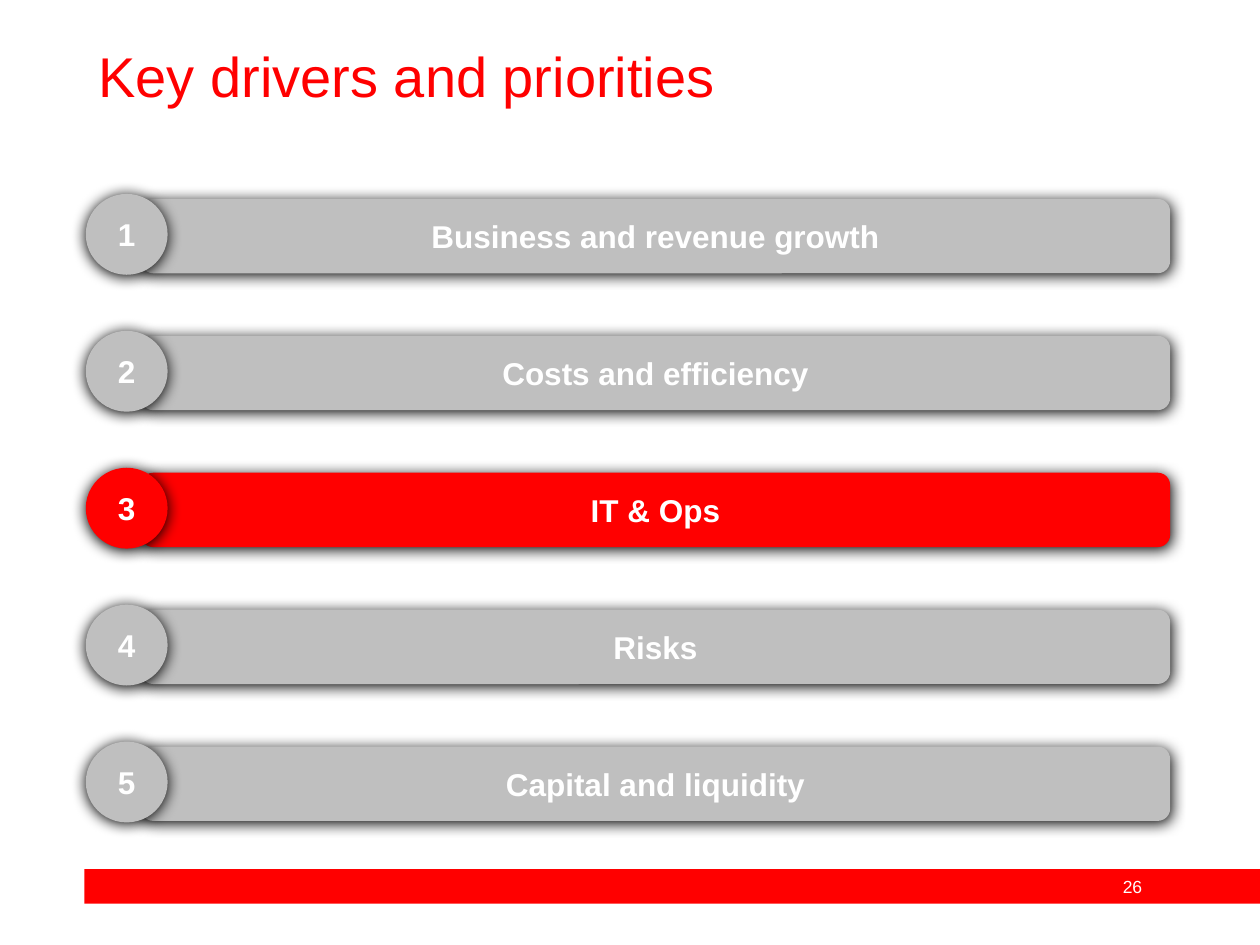
import pptx
import pptx.util
import pptx.dml.color
import pptx.enum.shapes
import pptx.enum.text
from lxml import etree
from pptx.util import Cm, Pt

RED, GREY, WHITE = "FF0000", "BFBFBF", "FFFFFF"
TITLE = "Key drivers and priorities"
DRIVERS = [
    "Business and revenue growth",
    "Costs and efficiency",
    "IT & Ops",
    "Risks",
    "Capital and liquidity",
]
ACTIVE = 3
PAGE = "26"

TOP, STEP = 3.91, 2.76
DISC_LEFT, DISC_W, DISC_H = 1.73, 1.65, 1.63
BAR_LEFT, BAR_W, BAR_H = 2.84, 20.75, 1.5

KIND = pptx.enum.shapes.MSO_SHAPE
ALIGN = pptx.enum.text.PP_ALIGN
MIDDLE = pptx.enum.text.MSO_ANCHOR.MIDDLE
SHADOW = (
    '<a:effectLst xmlns:a="http://schemas.openxmlformats.org/drawingml/2006/main">'
    '<a:outerShdw blurRad="107950" dist="12700" dir="5400000" algn="t" rotWithShape="0">'
    '<a:srgbClr val="000000"/></a:outerShdw></a:effectLst>'
)


def rgb(code):
    return pptx.dml.color.RGBColor.from_string(code)


def write(shape, text, size, color, align, bold=False):
    frame = shape.text_frame
    frame.text = text
    frame.word_wrap = True
    frame.vertical_anchor = MIDDLE
    para = frame.paragraphs[0]
    para.alignment = align
    font = para.runs[0].font
    font.name, font.size, font.bold = "Arial", Pt(size), bold
    font.color.rgb = rgb(color)


def block(shapes, kind, box, color):
    """Add a filled shape with no outline and no shadow."""
    shape = shapes.add_shape(kind, *map(Cm, box))
    shape.shadow.inherit = False
    shape.fill.solid()
    shape.fill.fore_color.rgb = rgb(color)
    shape.line.fill.background()
    return shape


def raised(shapes, kind, box, color, text):
    """Add a labelled block with a soft shadow below it."""
    shape = block(shapes, kind, box, color)
    props = shape.element.spPr
    props.remove(props.find(pptx.oxml.ns.qn("a:effectLst")))
    props.append(etree.fromstring(SHADOW))
    write(shape, text, 18, WHITE, ALIGN.CENTER, True)


def main():
    deck = pptx.Presentation()
    deck.slide_width, deck.slide_height = Cm(25.4), Cm(19.05)
    slide = deck.slides.add_slide(deck.slide_layouts[5])

    title = slide.shapes.title
    title.left, title.top = Cm(1.73), Cm(0.79)
    title.width, title.height = Cm(21.89), Cm(1.45)
    write(title, TITLE, 32, RED, ALIGN.LEFT)

    block(slide.shapes, KIND.RECTANGLE, (1.7, 17.52, 23.7, 0.7), RED)
    page = slide.shapes.add_textbox(Cm(22.12), Cm(17.52), Cm(1.42), Cm(0.69))
    write(page, PAGE, 10, WHITE, ALIGN.CENTER)

    for num, text in enumerate(DRIVERS, 1):
        color = RED if num == ACTIVE else GREY
        top = TOP + (num - 1) * STEP
        row = slide.shapes.add_group_shape().shapes
        bar = (BAR_LEFT, top + 0.1, BAR_W, BAR_H)
        disc = (DISC_LEFT, top, DISC_W, DISC_H)
        raised(row, KIND.ROUNDED_RECTANGLE, bar, color, text)
        raised(row, KIND.OVAL, disc, color, str(num))

    deck.save("out.pptx")


if __name__ == "__main__":
    main()
